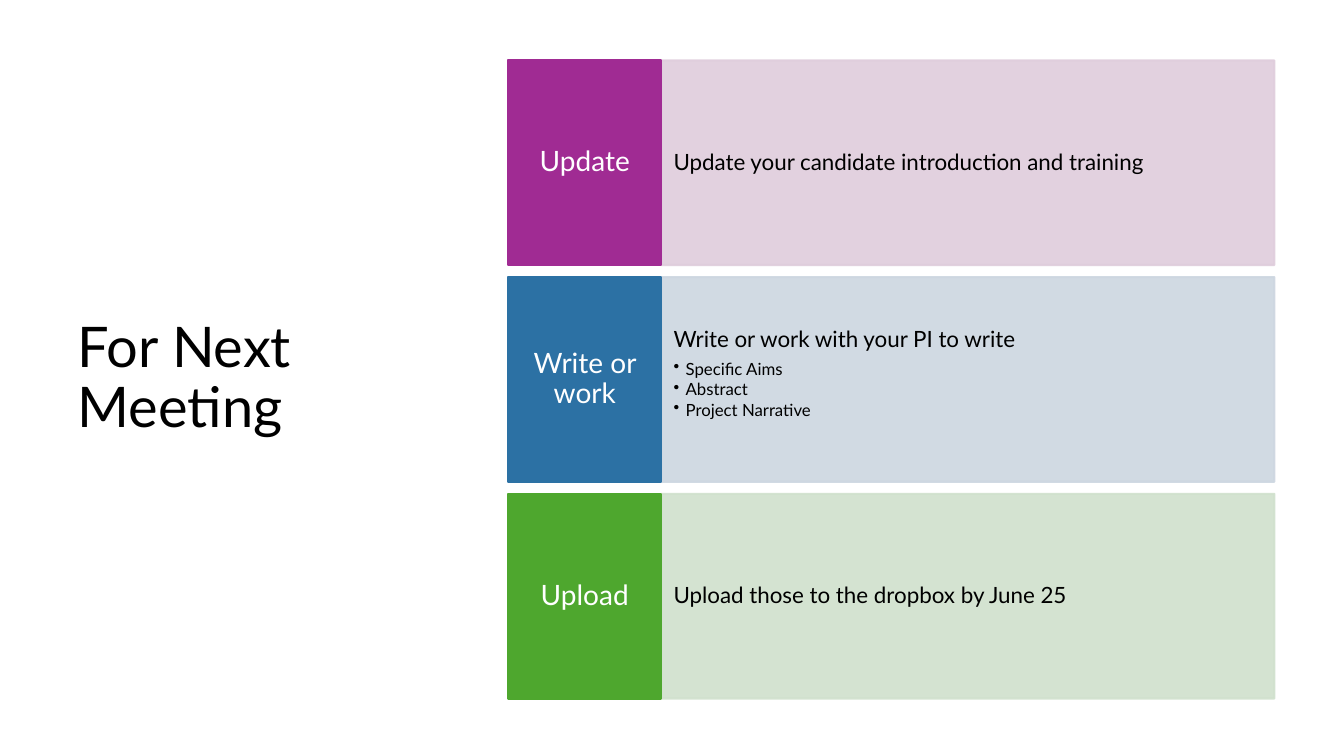
from pptx import Presentation, util as u
from pptx.dml.color import RGBColor
from pptx.enum import shapes, text
from pptx.oxml import ns
from lxml import etree

FONT = "Lato"
BLACK, WHITE = RGBColor(0, 0, 0), RGBColor(255, 255, 255)
PURPLE, PALE_PURPLE = RGBColor(0xA0, 0x2B, 0x93), RGBColor(0xDF, 0xCD, 0xDC)
BLUE, PALE_BLUE = RGBColor(0x2C, 0x71, 0xA4), RGBColor(0xCD, 0xD6, 0xE0)
GREEN, PALE_GREEN = RGBColor(0x4E, 0xA7, 0x2E), RGBColor(0xD0, 0xE1, 0xCD)

TITLE = "For Next Meeting"
# label, label fill, panel fill, panel text, bullets
TASKS = [
    ("Update", PURPLE, PALE_PURPLE,
     "Update your candidate introduction and training", []),
    ("Write or work", BLUE, PALE_BLUE, "Write or work with your PI to write",
     ["Specific Aims", "Abstract", "Project Narrative"]),
    ("Upload", GREEN, PALE_GREEN, "Upload those to the dropbox by June 25", []),
]

LEFT, TOP = 5.04, 0.6
LABEL_W, PANEL_W, ROW_H, PITCH = 1.52, 6.08, 2.03, 2.15
BULLET_INDENT = u.Inches(0.12)


def set_margins(tf, side, end):
    margins = dict(margin_left=side, margin_right=side, margin_top=end, margin_bottom=end)
    for name, value in margins.items():
        setattr(tf, name, u.Inches(value))


def write(p, words, size, color, align=text.PP_ALIGN.LEFT, after=0.35):
    """Fill a paragraph; after is the space below as a share of the text size."""
    for name, value in dict(alignment=align, line_spacing=0.9, space_before=u.Pt(0),
                            space_after=u.Pt(size * after)).items():
        setattr(p, name, value)
    r = p.add_run()
    r.text = words
    for name, value in dict(name=FONT, size=u.Pt(size)).items():
        setattr(r.font, name, value)
    r.font.color.rgb = color


def add_bullet(p):
    pPr = p._p.get_or_add_pPr()
    pPr.set("marL", str(BULLET_INDENT))
    pPr.set("indent", str(-BULLET_INDENT))
    etree.SubElement(pPr, ns.qn("a:buChar")).set("char", "•")


def add_block(slide, x, y, width, color, opacity=100):
    sp = slide.shapes.add_shape(shapes.MSO_SHAPE.RECTANGLE, u.Inches(x), u.Inches(y),
                                u.Inches(width), u.Inches(ROW_H))
    sp.shadow.inherit = False
    sp.fill.solid()
    sp.fill.fore_color.rgb = color
    sp.line.color.rgb = color
    sp.line.width = u.Pt(1.5)
    if opacity < 100:
        for clr in sp._element.spPr.iter(ns.qn("a:srgbClr")):
            etree.SubElement(clr, ns.qn("a:alpha")).set("val", str(opacity * 1000))
    tf = sp.text_frame
    tf.word_wrap = True
    tf.vertical_anchor = text.MSO_ANCHOR.MIDDLE
    return tf


prs = Presentation()
prs.slide_width, prs.slide_height = u.Inches(13.33), u.Inches(7.5)
slide = prs.slides.add_slide(prs.slide_layouts[5])

title = slide.shapes.title
for name, value in dict(left=0.67, top=0.6, width=3.82, height=6.33).items():
    setattr(title, name, u.Inches(value))
title.text_frame.word_wrap = True
title.text_frame.vertical_anchor = text.MSO_ANCHOR.MIDDLE
write(title.text_frame.paragraphs[0], TITLE, 40, BLACK, after=0)

for row, (label, color, pale, summary, bullets) in enumerate(TASKS):
    y = TOP + row * PITCH

    tf = add_block(slide, LEFT + LABEL_W, y, PANEL_W, pale, opacity=90)
    set_margins(tf, 0.12, 0.51)
    write(tf.paragraphs[0], summary, 16, BLACK)
    if bullets:
        tf.vertical_anchor = text.MSO_ANCHOR.TOP
    for item in bullets:
        p = tf.add_paragraph()
        p.level = 1
        write(p, item, 12, BLACK, after=0.15)
        add_bullet(p)

    tf = add_block(slide, LEFT, y, LABEL_W, color)
    set_margins(tf, 0.08, 0.2)
    write(tf.paragraphs[0], label, 20, WHITE, text.PP_ALIGN.CENTER)

prs.save("out.pptx")
